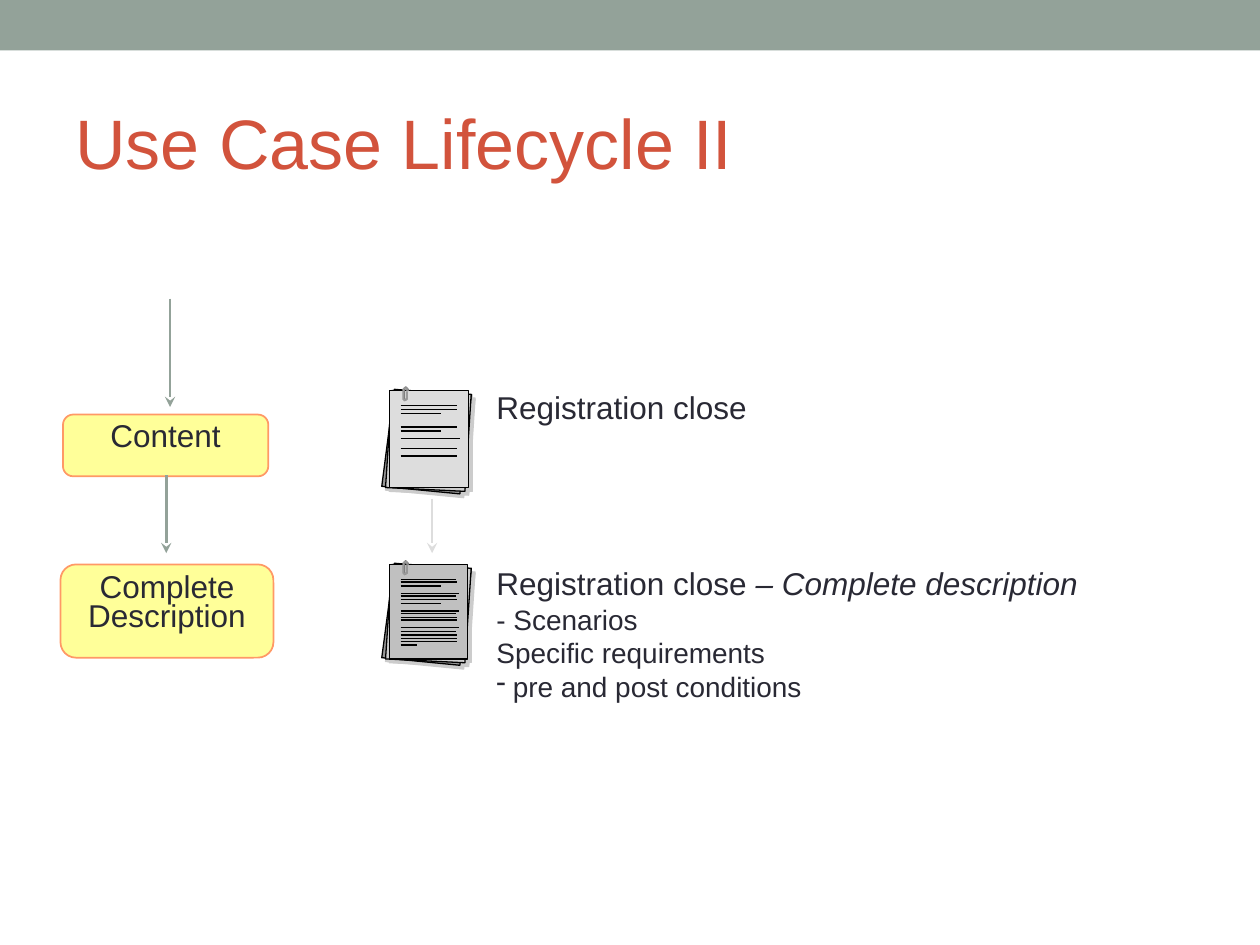
from lxml.etree import SubElement
from pptx import Presentation
from pptx.dml.color import RGBColor as RGB
from pptx.enum.shapes import MSO_CONNECTOR as LINK, MSO_SHAPE as SHAPE
from pptx.enum.text import MSO_ANCHOR as ANCHOR, PP_ALIGN as ALIGN
from pptx.oxml.ns import qn
from pptx.util import Pt

PX = 9144  # 100 px to the inch
FONT = "Arial"
SAGE, RUST, INK = RGB(0x93, 0xA2, 0x99), RGB(0xD2, 0x53, 0x3C), RGB(0x29, 0x29, 0x34)
CREAM, PEACH = RGB(0xFF, 0xFF, 0x99), RGB(0xFF, 0x99, 0x66)
BLACK, DIM, MID = RGB(0, 0, 0), RGB(0x7F, 0x7F, 0x7F), RGB(0x99, 0x99, 0x99)
SHADE, SILVER = RGB(0xCC, 0xCC, 0xCC), RGB(0xC0, 0xC0, 0xC0)
PALE, LIGHT = RGB(0xDD, 0xDD, 0xDD), RGB(0xE5, 0xE5, 0xE5)

# Content: each run is (text, italic), each line is (size, bullet, runs)
TITLE = [(40, False, [("Use Case Lifecycle II", False)])]
STAGES = [("Content", (50, 329, 163, 49)),
          ("Complete Description", (48, 448, 169, 74))]
NOTES = [
    ((385, 304, 218, 39), [(18, False, [("Registration close", False)])]),
    ((385, 444, 559, 120), [
        (18, False, [("Registration close ", False), ("– Complete description", True)]),
        (16, False, [("- Scenarios", False)]),
        (16, False, [("Specific requirements", False)]),
        (16, True, [("pre and post conditions", False)]),
    ]),
]
ARROWS = [(135, 237, 323, SAGE), (132, 377, 439, SAGE), (343, 396, 439, PALE)]

# Paper stacks: top, width, height, colour, and text rules as (drop, length)
PAPERS = [
    (310, 63, 77, PALE, [(12, 45), (15, 45), (18, 32), (29, 45), (32, 32),
                         (38, 47), (46, 45), (52, 45)]),
    (448, 62, 75, SILVER, [(12, 44), (14, 45), (17, 32), (23, 46), (25, 44), (28, 45),
                           (31, 32), (37, 46), (39, 44), (42, 45), (44, 45), (50, 46),
                           (53, 44), (56, 45), (59, 45), (61, 45), (64, 13)]),
]
PAGE, RULE = 309, 318  # left edges of the front page and its rules
CLIP = [(4, 3), (3, 3), (3, 1), (2, 1), (1, 1), (1, 2), (1, 10), (2, 10), (3, 10), (3, 4),
        (3, 10), (1, 11), (1, 10), (0, 10), (0, 2), (1, 1), (2, 0), (3, 1), (4, 2)]
WIRE = [(3, 3), (3, 2), (3, 1), (2, 1), (1, 1), (0, 2), (0, 10), (1, 10), (1, 11),
        (3, 10), (3, 4)]


def paint(shape, fill, line=None, width=0.75):
    shape.shadow.inherit = False
    if fill is None:
        shape.fill.background()
    else:
        shape.fill.solid()
        shape.fill.fore_color.rgb = fill
    if line is None:
        shape.line.fill.background()
    else:
        shape.line.color.rgb = line
        shape.line.width = Pt(width)


def block(shapes, kind, box, *look):
    shape = shapes.add_shape(kind, *[n * PX for n in box])
    paint(shape, *look)
    return shape


def trace(shapes, dots, left, top, fill, line, close=True):
    dots = [(left + x, top + y) for x, y in dots]
    form = shapes.build_freeform(*dots[0], scale=PX)
    form.add_line_segments(dots[1:], close=close)
    paint(form.convert_to_shape(), fill, line)


def rule(shapes, ends, color, width, head=False):
    link = shapes.add_connector(LINK.STRAIGHT, *[n * PX for n in ends])
    link.line.color.rgb = color
    link.line.width = Pt(width)
    if head:
        SubElement(link.line._get_or_add_ln(), qn("a:tailEnd"), type="stealth")
    SubElement(link._element.spPr, qn("a:effectLst"))


def style(para, size, color):
    para.font.name = FONT
    para.font.size = Pt(size)
    para.font.color.rgb = color


def inset(frame, side, top, base):
    frame.word_wrap = True
    frame.margin_left = frame.margin_right = side * PX
    frame.margin_top, frame.margin_bottom = top * PX, base * PX


def write(shapes, box, lines, color, side, edge):
    frame = shapes.add_textbox(*[n * PX for n in box]).text_frame
    inset(frame, side, edge, edge)
    for i, (size, mark, runs) in enumerate(lines):
        para = frame.paragraphs[0] if i == 0 else frame.add_paragraph()
        if mark:
            props = para._p.get_or_add_pPr()
            props.set("marL", str(13 * PX))
            props.set("indent", str(-13 * PX))
            SubElement(props, qn("a:buChar"), char="-")
        style(para, size, color)
        for text, slant in runs:
            run = para.add_run()
            run.text = text
            if slant:
                run.font.italic = True
    return frame


def stack(shapes, top, wide, high, face, rules):
    group = shapes.add_group_shape().shapes
    back = [(4, -1), (65, 4), (56, high + 5), (-6, high - 1)]
    mid = [(2, 0), (65, 3), (60, high + 3), (-3, high)]
    # Shadow first, then the sheets: shift, fills, edge, clip colours
    for shift, fills, edge, clip in [
        (3, (SHADE, SHADE, SHADE), SHADE, (SHADE, SHADE, SHADE)),
        (0, (MID, SHADE, face), BLACK, (LIGHT, DIM, MID)),
    ]:
        left, y = PAGE + shift, top + shift
        for dots, fill in zip((back, mid), fills):
            trace(group, dots, left, y, fill, edge)
        block(group, SHAPE.RECTANGLE, (left, y, wide, high), fills[2], edge)
        trace(group, CLIP, left + 11, y - 3, *clip[:2])
        trace(group, WIRE, left + 11, y - 3, None, clip[2], False)
    for drop, span in rules:
        rule(group, (RULE, top + drop, RULE + span, top + drop), BLACK, 0.75)


def main():
    deck = Presentation()
    deck.slide_width, deck.slide_height = 1000 * PX, 750 * PX
    shapes = deck.slides.add_slide(deck.slide_layouts[6]).shapes

    # Top band and title
    block(shapes, SHAPE.RECTANGLE, (0, 0, 1000, 40), SAGE)
    title = write(shapes, (50, 58, 900, 108), TITLE, RUST, 10, 5)
    title.vertical_anchor = ANCHOR.MIDDLE

    # Stages on the left
    for text, box in STAGES:
        stage = block(shapes, SHAPE.ROUNDED_RECTANGLE, box, CREAM, PEACH, 1)
        frame = stage.text_frame
        inset(frame, 10, 5, 15)
        frame.vertical_anchor = ANCHOR.MIDDLE
        para = frame.paragraphs[0]
        para.text = text
        para.alignment = ALIGN.CENTER
        para.line_spacing = 0.75
        style(para, 18, INK)

    # Paper stacks, notes and arrows
    for paper in PAPERS:
        stack(shapes, *paper)
    for box, lines in NOTES:
        write(shapes, box, lines, INK, 9, 4)
    for x, start, end, color in ARROWS:
        rule(shapes, (x, start, x, end), color, 1.5, True)

    deck.save("out.pptx")


if __name__ == "__main__":
    main()
